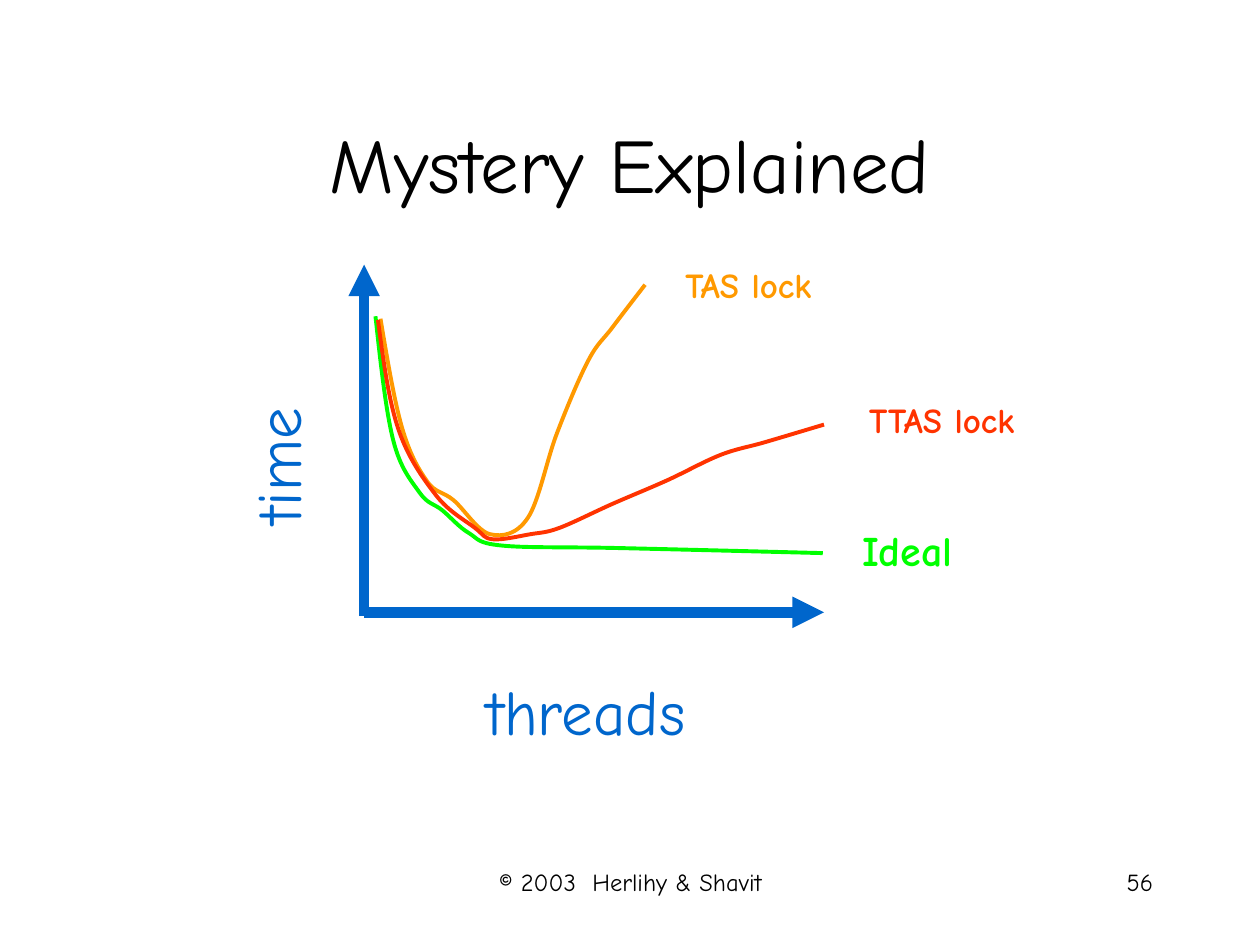
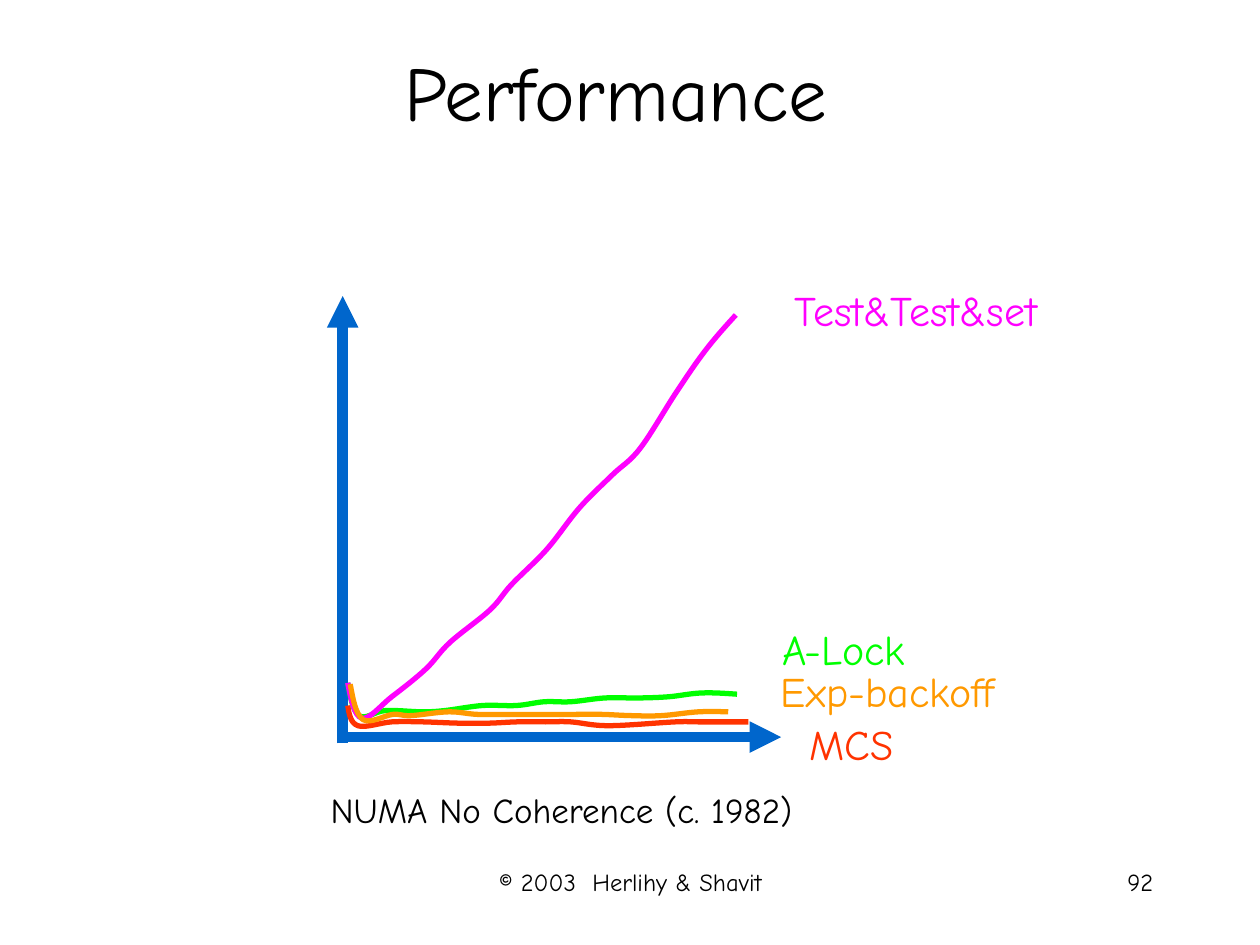
from lxml.etree import SubElement as Sub
from pptx import Presentation
from pptx.dml.color import RGBColor as Rgb
from pptx.enum.shapes import MSO_CONNECTOR as Conn
from pptx.enum.text import MSO_ANCHOR as Anchor, PP_ALIGN as Align
from pptx.oxml.ns import qn
from pptx.util import Inches, Pt

FONT = "Comic Neue"
BLACK, BLUE, GREEN = "000000", "0066CC", "00FF00"
RED, GOLD, PINK = "FF3300", "FF9900", "FF00FF"

IDEAL = [(2.98, 2.51), (3.12, 3.49), (3.33, 3.91), (3.51, 4.05), (3.72, 4.23),
         (3.98, 4.33), (4.91, 4.35), (6.53, 4.39)]
TAS = [(3.02, 2.53), (3.19, 3.39), (3.39, 3.82), (3.6, 3.97), (3.89, 4.24),
       (4.19, 4.11), (4.42, 3.44), (4.67, 2.86), (4.86, 2.6), (5.12, 2.26)]
TTAS = [(3, 2.54), (3.16, 3.4), (3.46, 3.93), (3.77, 4.19), (3.91, 4.28),
        (4.21, 4.24), (4.44, 4.19), (4.86, 4), (5.3, 3.81), (5.72, 3.61),
        (6.07, 3.51), (6.54, 3.37)]
MCS = [(2.76, 5.6), (2.84, 5.76), (3.11, 5.73), (3.36, 5.73), (3.64, 5.74),
       (3.88, 5.74), (4.1, 5.73), (4.33, 5.73), (4.53, 5.73), (4.83, 5.76),
       (5.36, 5.73), (5.54, 5.73), (5.84, 5.73), (5.94, 5.73)]
ALOCK = [(2.76, 5.42), (2.85, 5.68), (3.06, 5.64), (3.35, 5.65), (3.53, 5.64),
         (3.83, 5.6), (4.1, 5.6), (4.32, 5.57), (4.53, 5.57), (4.8, 5.54),
         (5.07, 5.54), (5.31, 5.53), (5.57, 5.5), (5.85, 5.51)]
TEST = [(2.76, 5.42), (2.87, 5.7), (3.11, 5.53), (3.38, 5.31), (3.57, 5.1),
        (3.89, 4.84), (4.06, 4.64), (4.34, 4.36), (4.6, 4.03), (4.86, 3.77),
        (5.08, 3.56), (5.37, 3.11), (5.6, 2.78), (5.84, 2.5)]
BACK = [(2.78, 5.43), (2.88, 5.71), (3.12, 5.67), (3.26, 5.68), (3.56, 5.65),
        (3.79, 5.67), (4.07, 5.67), (4.32, 5.67), (4.57, 5.67), (4.78, 5.67),
        (5.01, 5.68), (5.25, 5.68), (5.54, 5.65), (5.78, 5.65)]


def color(code):
    return Rgb.from_string(code)


def place(shape, x, y, w, h):
    shape.left, shape.top = Inches(x), Inches(y)
    shape.width, shape.height = Inches(w), Inches(h)


def write(frame, text, size=24, hue=BLACK, bold=False, align=Align.LEFT,
          anchor=Anchor.TOP, wrap=False):
    frame.word_wrap = wrap
    frame.vertical_anchor = anchor
    para = frame.paragraphs[0]
    para.alignment = align
    run = para.add_run()
    run.text = text
    font = run.font
    font.name, font.size, font.bold = FONT, Pt(size), bold
    font.color.rgb = color(hue)


def label(slide, text, x, y, w, h, turn=0, **style):
    box = slide.shapes.add_textbox(Inches(x), Inches(y), Inches(w), Inches(h))
    box.rotation = turn
    write(box.text_frame, text, **style)


def arrow(slide, start, end):
    line = slide.shapes.add_connector(
        Conn.STRAIGHT, *[Inches(v) for v in (*start, *end)])
    line.line.color.rgb = color(BLUE)
    line.line.width = Pt(6)
    Sub(line.line._get_or_add_ln(), qn("a:tailEnd"), type="triangle")
    Sub(line._element.spPr, qn("a:effectLst"))


def handles(knots):
    last = len(knots) - 1

    def slope(i):
        return [(b - a) / 6 for a, b in zip(knots[i - 1], knots[i + 1])]

    for i in range(last):
        p, q = knots[i], knots[i + 1]
        one = [a + d for a, d in zip(p, slope(i))] if i else None
        two = [a - d for a, d in zip(q, slope(i + 1))] if i + 1 < last else None
        one = one or [(a + b) / 2 for a, b in zip(p, two)]
        two = two or [(a + b) / 2 for a, b in zip(one, q)]
        yield one, two


def curve(slide, knots, hue, width):
    spots = [(Inches(x), Inches(y)) for x, y in knots]
    pen = slide.shapes.build_freeform(*spots[0])
    pen.add_line_segments(spots[1:], close=False)
    shape = pen.convert_to_shape()
    shape.shadow.inherit = False
    shape.fill.background()
    shape.line.color.rgb = color(hue)
    shape.line.width = Pt(width)
    lines = list(shape._element.iter(qn("a:lnTo")))
    for line, pair in zip(lines, handles(spots)):
        bend = line.makeelement(qn("a:cubicBezTo"))
        for x, y in pair:
            Sub(bend, qn("a:pt"), x=str(round(x - shape.left)),
                y=str(round(y - shape.top)))
        bend.append(line[0])
        line.getparent().replace(line, bend)


def start(deck, title, x, y, number, anchor=Anchor.MIDDLE):
    slide = deck.slides.add_slide(deck.slide_layouts[5])
    head = slide.shapes.title
    place(head, x, y, 8.5, 1.25)
    write(head.text_frame, title, size=44, align=Align.CENTER,
          anchor=anchor, wrap=True)
    label(slide, "© 2003  Herlihy & Shavit", 3.42, 6.83, 3.17, 0.5,
          size=14, align=Align.CENTER, wrap=True)
    label(slide, number, 7.17, 6.83, 2.08, 0.5,
          size=14, align=Align.RIGHT, wrap=True)
    return slide


def mystery(deck):
    slide = start(deck, "Mystery Explained", 0.75, 0.67, "56")
    arrow(slide, (2.89, 4.89), (2.89, 2.1))
    arrow(slide, (2.89, 4.86), (6.54, 4.86))
    for knots, hue in (IDEAL, GREEN), (TAS, GOLD), (TTAS, RED):
        curve(slide, knots, hue, 2.25)
    axis = dict(size=36, hue=BLUE, align=Align.CENTER, anchor=Anchor.MIDDLE)
    label(slide, "time", 1.59, 3.3, 1.2, 0.8, turn=270, **axis)
    label(slide, "threads", 3.7, 5.24, 1.9, 0.8, **axis)
    label(slide, "TTAS lock", 6.8, 3.11, 1.37, 0.44, size=20, hue=RED, bold=True)
    label(slide, "TAS lock", 5.34, 2.04, 1.22, 0.44, size=20, hue=GOLD, bold=True)
    label(slide, "Ideal", 6.74, 4.11, 0.92, 0.5, hue=GREEN, bold=True,
          align=Align.RIGHT)


def results(deck):
    slide = start(deck, "Performance", 0.64, 0.3, "92", anchor=Anchor.TOP)
    arrow(slide, (2.72, 5.9), (2.72, 2.35))
    arrow(slide, (2.73, 5.85), (6.2, 5.85))
    for knots, hue in (MCS, RED), (ALOCK, GREEN), (TEST, PINK), (BACK, GOLD):
        curve(slide, knots, hue, 3)
    for text, x, y, w, hue in (("Test&Test&set", 6.15, 2.21, 2.18, PINK),
                               ("MCS", 6.32, 5.65, 0.87, RED),
                               ("A-Lock", 6.09, 4.9, 1.19, GREEN)):
        label(slide, text, x, y, w, 0.5, hue=hue, align=Align.RIGHT)
    label(slide, "Exp-backoff", 5.55, 5.23, 2.99, 0.5, hue=GOLD,
          align=Align.CENTER, wrap=True)
    label(slide, "NUMA No Coherence (c. 1982)", 2.52, 6.21, 3.87, 0.44,
          size=20, align=Align.RIGHT)


def main():
    deck = Presentation()
    deck.slide_width, deck.slide_height = Inches(10), Inches(7.5)
    mystery(deck)
    results(deck)
    deck.save("out.pptx")


if __name__ == "__main__":
    main()
